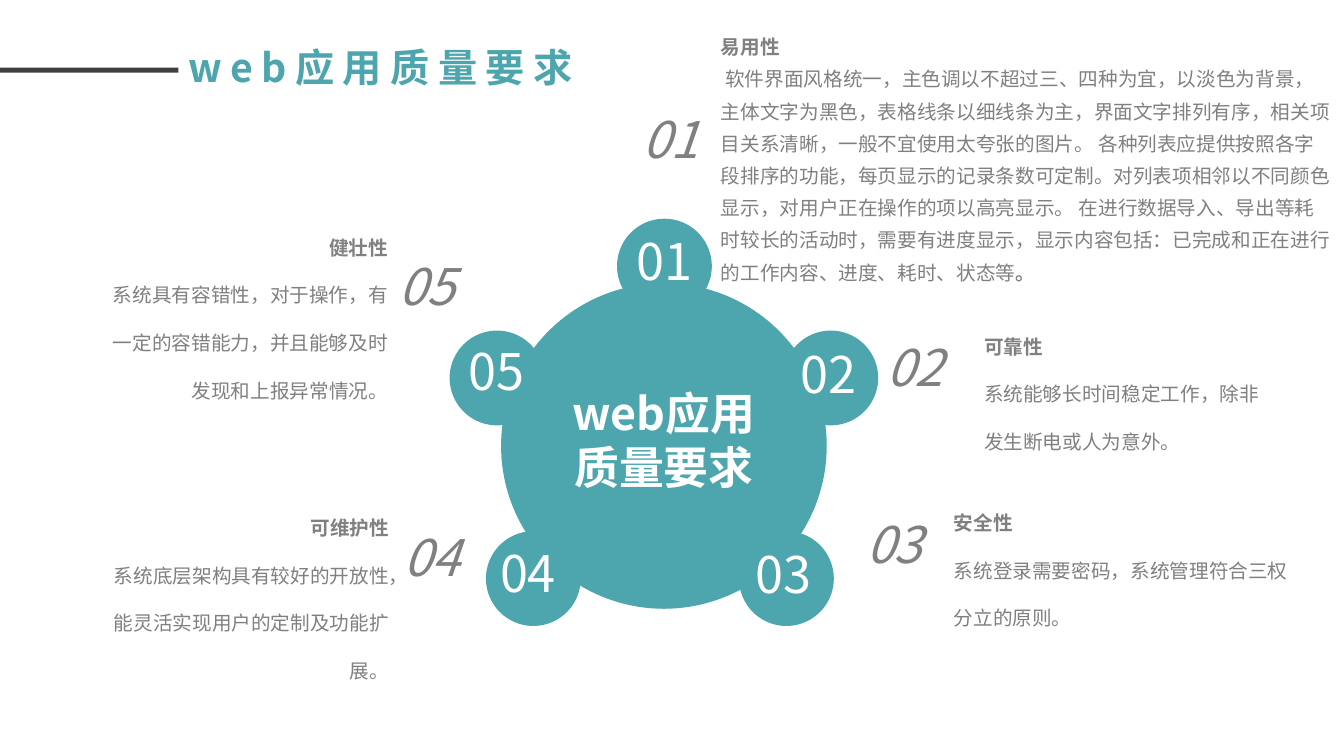
from lxml import etree
from pptx import Presentation
from pptx import util as u
from pptx.dml.color import RGBColor
from pptx.enum import shapes, text
from pptx.oxml.ns import qn

FONT = "Noto Sans CJK SC"
TEAL, GRAY, DARK, WHITE = "4DA6AD", "808080", "404040", "FFFFFF"
LEFT, CENTER, RIGHT = text.PP_ALIGN.LEFT, text.PP_ALIGN.CENTER, text.PP_ALIGN.RIGHT
TITLE = "web应用质量要求"
BADGE_SIZE = 0.94
NUMBER_SIZE = (0.67, 0.7)

# Number, badge corner, corner of the number on the badge
BADGES = [
    ("01", (6.12, 2.17), (6.26, 2.23)),
    ("02", (7.77, 3.28), (7.89, 3.35)),
    ("03", (7.33, 5.27), (7.44, 5.34)),
    ("04", (4.82, 5.27), (4.91, 5.33)),
    ("05", (4.46, 3.28), (4.60, 3.33)),
]

# Number, its corner, text box, alignment, line spacing, heading, body, bold ending
REQUIREMENTS = [
    ("01", (6.32, 1.02), (7.1, 0.3, 6.16, 2.56), LEFT, 23, "易用性",
     " 软件界面风格统一，主色调以不超过三、四种为宜，以淡色为背景，"
     "主体文字为黑色，表格线条以细线条为主，界面文字排列有序，相关项"
     "目关系清晰，一般不宜使用太夸张的图片。 各种列表应提供按照各字"
     "段排序的功能，每页显示的记录条数可定制。对列表项相邻以不同颜色"
     "显示，对用户正在操作的项以高亮显示。 在进行数据导入、导出等耗"
     "时较长的活动时，需要有进度显示，显示内容包括：已完成和正在进行"
     "的工作内容、进度、耗时、状态等", "。"),
    ("02", (8.74, 3.29), (9.71, 3.27, 2.97, 1.22), LEFT, 34, "可靠性",
     "系统能够长时间稳定工作，除非发生断电或人为意外。", ""),
    ("03", (8.54, 5.04), (9.41, 5.02, 3.47, 1.22), LEFT, 34, "安全性",
     "系统登录需要密码，系统管理符合三权分立的原则。", ""),
    ("04", (3.95, 5.17), (0.91, 5.07, 3, 1.69), RIGHT, 34, "可维护性",
     "系统底层架构具有较好的开放性，能灵活实现用户的定制及功能扩展。", ""),
    ("05", (3.9, 2.48), (0.9, 2.29, 3, 1.69), RIGHT, 34, "健壮性",
     "系统具有容错性，对于操作，有一定的容错能力，并且能够及时发现和上报异常情况。", ""),
]


def color(value):
    return RGBColor.from_string(value)


def inches(values):
    return [u.Inches(value) for value in values]


def add_run(paragraph, content, size=14, fill=GRAY, bold=False, italic=False, spacing=0):
    run = paragraph.add_run()
    run.text = content
    font = run.font
    font.size, font.bold, font.italic, font.name = u.Pt(size), bold, italic, FONT
    font.color.rgb = color(fill)
    properties = run._r.get_or_add_rPr()
    etree.SubElement(properties, qn("a:ea")).set("typeface", FONT)
    if spacing:
        properties.set("spc", str(spacing * 100))


def prepare_frame(shape, wrap=True):
    frame = shape.text_frame
    frame.word_wrap = wrap
    frame.auto_size = text.MSO_AUTO_SIZE.NONE
    frame.vertical_anchor = text.MSO_ANCHOR.TOP
    frame.margin_left = frame.margin_right = u.Inches(0.05)
    frame.margin_top = frame.margin_bottom = u.Inches(0.05)
    return frame


def write(shape, content, align=LEFT, wrap=True, **style):
    paragraph = prepare_frame(shape, wrap).paragraphs[0]
    paragraph.alignment = align
    add_run(paragraph, content, **style)


def add_solid(slide, kind, box, fill):
    shape = slide.shapes.add_shape(kind, *inches(box))
    shape.shadow.inherit = False
    shape.fill.solid()
    shape.fill.fore_color.rgb = color(fill)
    shape.line.fill.background()
    return shape


def add_number(slide, number, corner, **style):
    box = slide.shapes.add_textbox(*inches(corner + NUMBER_SIZE))
    write(box, number, wrap=False, size=36, **style)


def add_requirement(slide, box, align, line_spacing, heading, body, ending):
    shape = slide.shapes.add_textbox(*inches(box))
    write(shape, heading, align=align, bold=True)
    paragraph = shape.text_frame.add_paragraph()
    paragraph.alignment = align
    paragraph.line_spacing = u.Pt(line_spacing)
    add_run(paragraph, body)
    if ending:
        add_run(paragraph, ending, bold=True)


def main():
    presentation = Presentation()
    presentation.slide_width, presentation.slide_height = inches((13.33, 7.5))
    slide = presentation.slides.add_slide(presentation.slide_layouts[5])
    rectangle, ellipse = shapes.MSO_SHAPE.RECTANGLE, shapes.MSO_SHAPE.OVAL

    # Title with its bar
    title = slide.shapes.title
    title.left, title.top, title.width, title.height = inches((1.77, 0.38, 4.01, 0.66))
    write(title, TITLE, align=CENTER, size=28, fill=TEAL, bold=True, spacing=6)
    add_solid(slide, rectangle, (0, 0.67, 1.77, 0.05), DARK)

    # Hub
    add_solid(slide, ellipse, (4.97, 2.81, 3.23, 3.23), TEAL)
    hub_label = add_solid(slide, rectangle, (5.58, 3.78, 2.01, 1.35), TEAL)
    write(hub_label, TITLE, align=CENTER, size=32, fill=WHITE, bold=True)

    # Numbered badges around the hub
    for number, corner, number_corner in BADGES:
        add_solid(slide, ellipse, corner + (BADGE_SIZE, BADGE_SIZE), TEAL)
        add_number(slide, number, number_corner, fill=WHITE)

    # Requirement texts with their numbers
    for number, corner, *requirement in REQUIREMENTS:
        add_requirement(slide, *requirement)
        add_number(slide, number, corner, italic=True)

    presentation.save("out.pptx")


if __name__ == "__main__":
    main()
